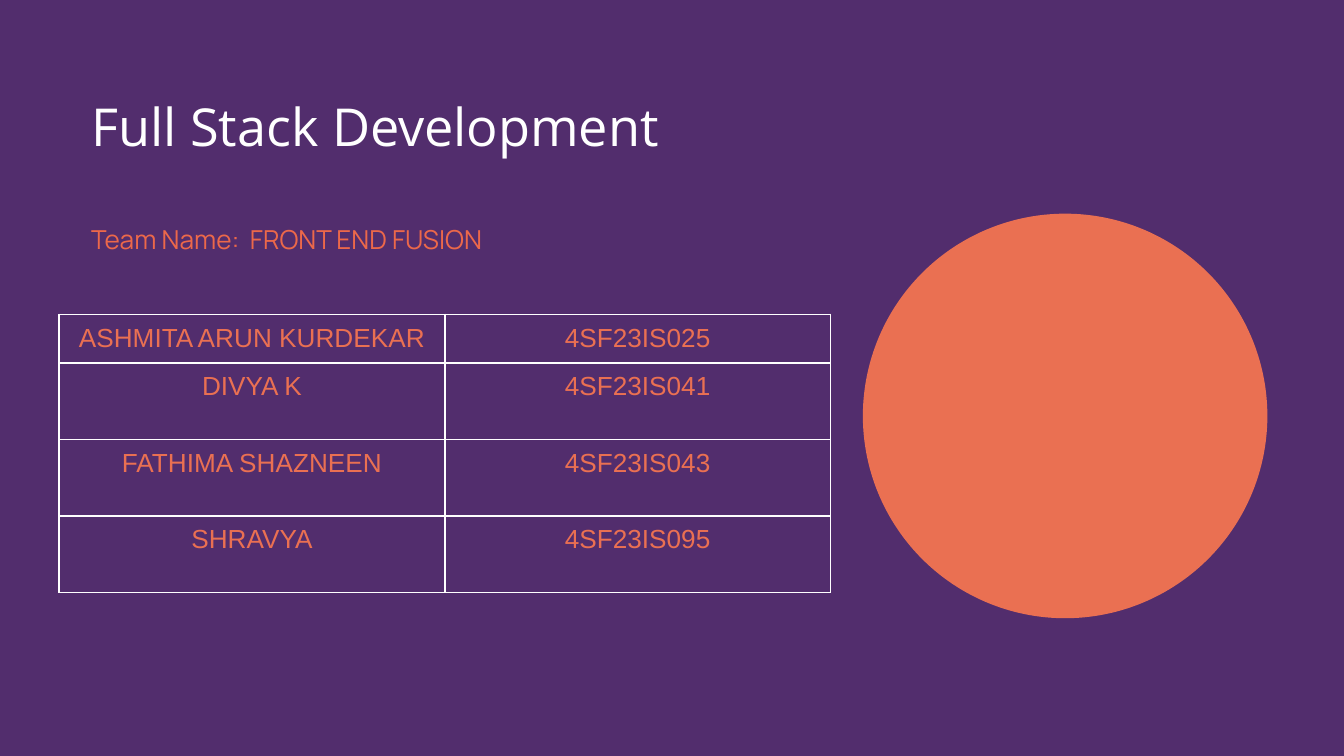
from lxml import etree
from pptx import Presentation
from pptx.dml.color import RGBColor
from pptx.enum.shapes import MSO_SHAPE
from pptx.enum.text import MSO_ANCHOR, MSO_AUTO_SIZE, PP_ALIGN
from pptx.oxml.ns import qn
from pptx.util import Inches, Pt

OVAL = MSO_SHAPE.OVAL
TOP = MSO_ANCHOR.TOP
NO_FIT = MSO_AUTO_SIZE.NONE
LEFT, CENTER = PP_ALIGN.LEFT, PP_ALIGN.CENTER

PURPLE = RGBColor(0x52, 0x2D, 0x6D)
ORANGE = RGBColor(0xEA, 0x70, 0x52)
CORAL = RGBColor(0xEC, 0x68, 0x4A)
WHITE = RGBColor(0xFF, 0xFF, 0xFF)

WIDTH = Inches(10)
HEIGHT = WIDTH * 9 // 16
MARGIN = 0.058  # share of the slide width
COL_WIDTH = Inches(2.87)
ROW_HEIGHTS = [Inches(h) for h in (0.36, 0.57, 0.57, 0.57)]
CELL_INSET = Pt(4.8)
TEXT_INSET = Inches(0.1)
INSET_SIDES = ("margin_left", "margin_top", "margin_right", "margin_bottom")

MEMBERS = [
    ("ASHMITA ARUN KURDEKAR", "4SF23IS025"),
    ("DIVYA K", "4SF23IS041"),
    ("FATHIMA SHAZNEEN", "4SF23IS043"),
    ("SHRAVYA", "4SF23IS095"),
]


def set_attributes(target, values):
    for name, value in values.items():
        setattr(target, name, value)


def set_insets(target, inset):
    set_attributes(target, dict.fromkeys(INSET_SIDES, inset))


def write(tf, text, align, size, font, color):
    p = tf.paragraphs[0]
    p.alignment = align
    r = p.add_run()
    r.text = text
    set_attributes(r.font, {"size": Pt(size), "name": font, "bold": False})
    r.font.color.rgb = color
    return p


def place(sp, left, top, width, height):
    """Position a shape by shares of the slide's size."""
    set_attributes(sp, {
        "left": int(left * WIDTH), "top": int(top * HEIGHT),
        "width": int(width * WIDTH), "height": int(height * HEIGHT),
    })


def format_frame(tf):
    set_attributes(tf, {
        "auto_size": NO_FIT, "vertical_anchor": TOP, "word_wrap": True,
    })
    set_insets(tf, TEXT_INSET)


def add_title(s, text):
    sp = s.shapes.title
    place(sp, MARGIN, 0.107, 0.82, 0.164)
    format_frame(sp.text_frame)
    write(sp.text_frame, text, LEFT, 28, "Open Sans", WHITE)


def add_subtitle(s, text):
    sp = s.shapes.add_textbox(0, 0, 0, 0)
    place(sp, MARGIN, 0.272, 0.405, 0.075)
    format_frame(sp.text_frame)
    p = write(sp.text_frame, text, LEFT, 14, "Manrope", CORAL)
    p.line_spacing = 1.15


def add_circle(s):
    diameter = Inches(3.01)
    sp = s.shapes.add_shape(OVAL, Inches(6.42), Inches(1.59), diameter, diameter)
    sp.shadow.inherit = False
    sp.fill.solid()
    sp.fill.fore_color.rgb = ORANGE
    sp.line.fill.background()


def set_borders(cell, color, width):
    tc_pr = cell._tc.get_or_add_tcPr()
    for side in ("a:lnL", "a:lnR", "a:lnT", "a:lnB"):
        line = etree.SubElement(tc_pr, qn(side), w=str(Pt(width)))
        fill = etree.SubElement(line, qn("a:solidFill"))
        etree.SubElement(fill, qn("a:srgbClr"), val=str(color))


def add_member_table(s, members):
    rows, cols = len(members), len(members[0])
    table = s.shapes.add_table(
        rows, cols, Inches(0.44), Inches(2.34), cols * COL_WIDTH, sum(ROW_HEIGHTS)
    ).table
    set_attributes(table, {"first_row": False, "horz_banding": False})
    for row, height, values in zip(table.rows, ROW_HEIGHTS, members):
        row.height = height
        for cell, text in zip(row.cells, values):
            set_borders(cell, WHITE, 1)
            cell.fill.background()
            set_insets(cell, CELL_INSET)
            write(cell.text_frame, text, CENTER, 14, "Arial", ORANGE)


def main():
    prs = Presentation()
    set_attributes(prs, {"slide_width": WIDTH, "slide_height": HEIGHT})
    s = prs.slides.add_slide(prs.slide_layouts[5])
    s.background.fill.solid()
    s.background.fill.fore_color.rgb = PURPLE
    add_circle(s)
    add_title(s, "Full Stack Development")
    add_subtitle(s, "Team Name:  FRONT END FUSION")
    add_member_table(s, MEMBERS)
    prs.save("out.pptx")


if __name__ == "__main__":
    main()
